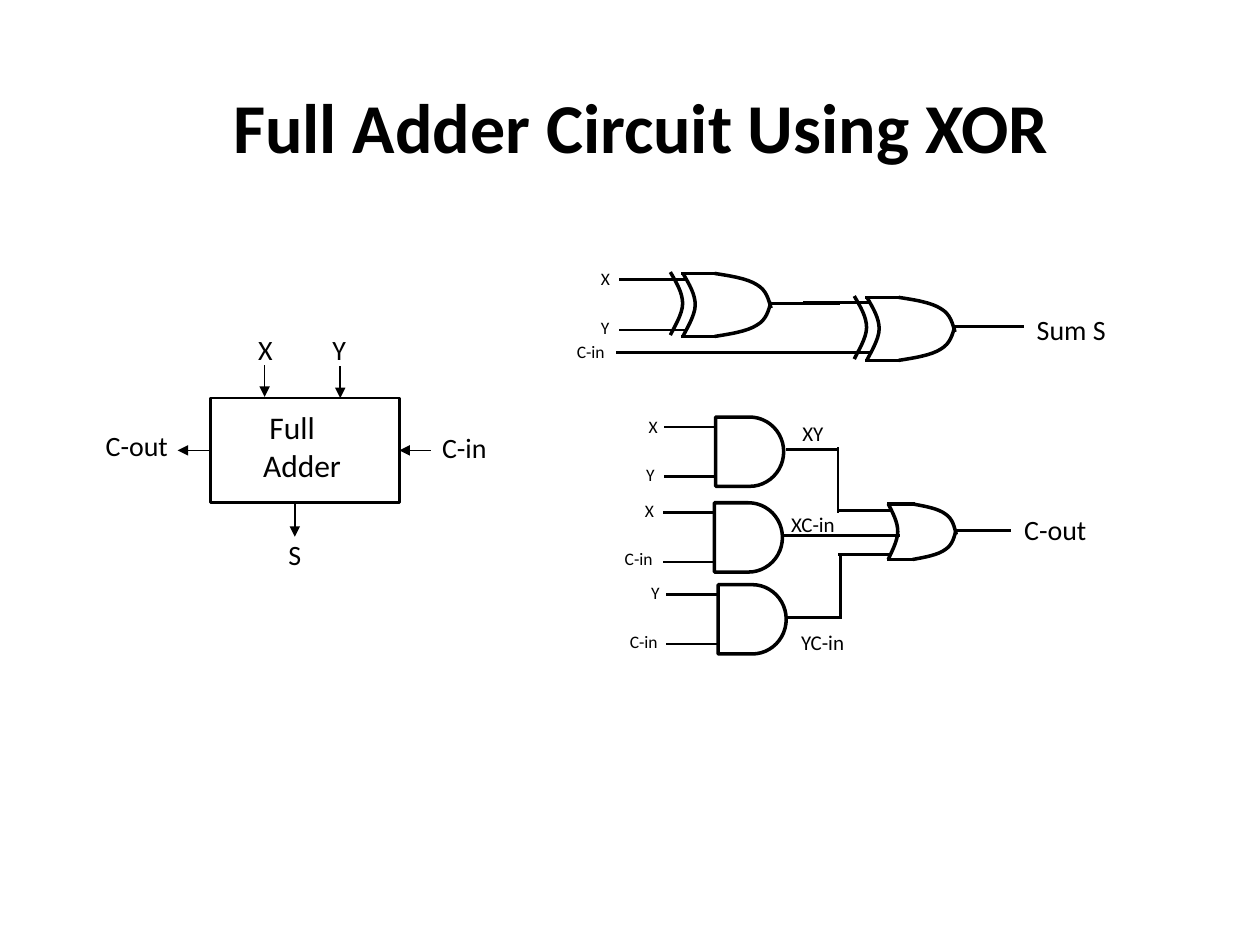
"""Build the slide showing a full adder as a block and as a gate circuit."""
import pptx
import pptx.dml.color
import pptx.enum.shapes
import pptx.enum.text
import pptx.oxml
import pptx.oxml.ns
import pptx.util

Inches, Pt = pptx.util.Inches, pptx.util.Pt
SHAPES = pptx.enum.shapes.MSO_SHAPE
ALIGN = pptx.enum.text.PP_ALIGN
ANCHOR = pptx.enum.text.MSO_ANCHOR

THEME = {
    "font": "Calibri", "ink": pptx.dml.color.RGBColor(0, 0, 0),
    "title": 40, "block": 18, "port": 16, "term": 12, "input": 10,
    "arrow": 1, "wire": 1.5, "gate": 2,
}

TITLE = "Full Adder Circuit Using XOR"
BLOCK = (1.67, 3.16, 1.5, 0.83)
BLOCK_LINES = [("Full", 0.11), ("Adder", 0.06)]
PORT_ARROWS = [
    ((2.1, 2.9), (2.1, 3.15)), ((2.7, 2.91), (2.7, 3.16)), ((2.34, 4.01), (2.34, 4.26)),
]
LABELS = [
    ("X", 1.95, 2.59, 0.31, "port"), ("Y", 2.54, 2.59, 0.31, "port"),
    ("S", 2.19, 4.22, 0.3, "port"), ("C-in", 3.41, 3.37, 0.55, "port"),
    ("C-out", 0.74, 3.35, 0.69, "port"), ("C-out", 8.03, 4.02, 0.69, "port"),
    ("Sum S", 8.13, 2.43, 1.2, "port"),
    ("XY", 6.27, 3.29, 0.37, "term"), ("XC-in", 6.18, 4.01, 0.55, "term"),
    ("YC-in", 6.26, 4.95, 0.54, "term"),
    ("X", 4.67, 2.08, 0.27, "input"), ("Y", 4.67, 2.47, 0.26, "input"),
    ("C-in", 4.48, 2.66, 0.42, "input"),
    ("X", 5.05, 3.25, 0.27, "input"), ("Y", 5.03, 3.63, 0.26, "input"),
    ("X", 5.02, 3.92, 0.27, "input"), ("C-in", 4.86, 4.3, 0.42, "input"),
    ("Y", 5.07, 4.57, 0.26, "input"), ("C-in", 4.9, 4.96, 0.42, "input"),
]
LABEL_HEIGHT = {"port": 0.37, "term": 0.3, "input": 0.27}
AND_GATES = [(5.68, 3.31), (5.67, 3.99), (5.7, 4.64)]
XOR_GATES = [(5.42, 2.17, (2.22, 2.62), 2.41), (6.88, 2.36, (2.4, 2.8), 2.59)]
OR_GATE = (7.05, 4.0)
WIRES = [
    ((4.9, 2.8), (6.65, 2.8)),
    ((6.25, 3.57), (6.65, 3.57)), ((6.65, 3.56), (6.65, 4.06)),
    ((6.23, 4.25), (6.64, 4.25)), ((6.38, 4.25), (7.13, 4.25)),
    ((6.26, 4.9), (6.67, 4.9)), ((6.67, 4.4), (6.67, 4.9)),
]
BACK_CURVE = [(0, 0), (0.07, 0.17), (0.14, 0.33), (0.14, 0.5), (0.14, 0.67), (0.03, 0.91), (0, 1)]
NOSE_CURVE = [(0.36, 0), (0.54, 0.04), (0.73, 0.08), (0.84, 0.18), (0.95, 0.27), (0.97, 0.41), (1, 0.55)]


def add_text(slide, lines, box, size, align=ALIGN.LEFT, wrap=False, bold=False):
    tf = slide.shapes.add_textbox(*map(Inches, box)).text_frame
    tf.word_wrap = wrap
    for i, (text, indent) in enumerate(lines):
        p = tf.paragraphs[0] if i == 0 else tf.add_paragraph()
        p.text, p.alignment = text, align
        if indent:
            p._p.get_or_add_pPr().set("marL", str(Inches(indent)))
        p.font.name, p.font.size, p.font.bold = THEME["font"], Pt(THEME[size]), bold
        p.font.color.rgb = THEME["ink"]
    return tf


def set_line(s, weight):
    s.line.color.rgb = THEME["ink"]
    s.line.width = Pt(THEME[weight])


def add_line(slide, start, end, weight="wire"):
    s = slide.shapes.add_connector(
        pptx.enum.shapes.MSO_CONNECTOR.STRAIGHT, *map(Inches, (*start, *end)))
    set_line(s, weight)
    ln = s.line._get_or_add_ln()
    ln.set("cap", "sq")
    if weight == "arrow":
        ln.append(pptx.oxml.parse_xml(
            f'<a:tailEnd {pptx.oxml.ns.nsdecls("a")} type="triangle"/>'))
    s._element.spPr.append(
        pptx.oxml.parse_xml(f'<a:effectLst {pptx.oxml.ns.nsdecls("a")}/>'))
    return s


def style_outline(s, weight):
    s.shadow.inherit = False
    s.fill.background()
    set_line(s, weight)


def add_preset(slide, kind, box, weight):
    s = slide.shapes.add_shape(kind, *map(Inches, box))
    style_outline(s, weight)
    return s


def add_curve(slide, unit_points, x, y, width, height):
    points = [(Inches(x + u * width), Inches(y + v * height)) for u, v in unit_points]
    builder = slide.shapes.build_freeform(*points[0])
    builder.add_line_segments(points[1:], close=False)
    s = builder.convert_to_shape()
    segments = s._element.xpath(".//a:lnTo")
    for k in range(0, len(segments), 3):
        cubic = pptx.oxml.parse_xml(f'<a:cubicBezTo {pptx.oxml.ns.nsdecls("a")}/>')
        segments[k].addprevious(cubic)
        for segment in segments[k:k + 3]:
            cubic.append(segment[0])
            segment.getparent().remove(segment)
    style_outline(s, "gate")


def add_or_body(slide, x, y, width, height):
    add_curve(slide, BACK_CURVE, x, y, width, height)
    for edge in (y, y + height):
        add_line(slide, (x, edge), (x + 0.36 * width, edge), "gate")
    add_curve(slide, NOSE_CURVE, x, y, width, height)
    add_curve(slide, [(u, 1 - v) for u, v in NOSE_CURVE], x, y, width, height)


def add_leads(slide, left, right, levels):
    for level in levels:
        add_line(slide, (left, level), (right, level))


def add_xor_gate(slide, x, y, inputs, output):
    add_leads(slide, x - 0.5, x + 0.02, inputs)
    add_leads(slide, x + 0.71, x + 1.24, (output,))
    add_or_body(slide, x, y, 0.7, 0.5)
    add_curve(slide, BACK_CURVE, x - 0.1, y - 0.01, 0.7, 0.5)


def add_or_gate(slide, x, y):
    add_leads(slide, x - 0.39, x + 0.02, (y + 0.05, y + 0.4))
    add_leads(slide, x + 0.55, x + 0.96, (y + 0.21,))
    add_or_body(slide, x, y, 0.54, 0.44)


def add_and_gate(slide, x, y):
    add_preset(slide, SHAPES.FLOWCHART_DELAY, (x, y, 0.54, 0.55), "gate")
    add_leads(slide, x - 0.4, x, (y + 0.08, y + 0.47))


def add_block(slide):
    block = add_preset(slide, SHAPES.RECTANGLE, BLOCK, "wire")
    add_text(slide, BLOCK_LINES, (1.93, 3.19, 1.0, 0.7), "block", wrap=True)
    x, y, width, height = BLOCK
    middle = y + height / 2
    carry_out = add_line(slide, (x, middle), (1.41, middle), "arrow")
    carry_out.begin_connect(block, 1)
    carry_in = add_line(slide, (3.41, middle), (x + width, middle), "arrow")
    carry_in.end_connect(block, 3)
    for start, end in PORT_ARROWS:
        add_line(slide, start, end, "arrow")


def main():
    prs = pptx.Presentation()
    prs.slide_width, prs.slide_height = Inches(10), Inches(7.5)
    slide = prs.slides.add_slide(prs.slide_layouts[6])
    tf = add_text(slide, [(TITLE, 0)], (0.75, 0.75, 8.67, 0.5), "title",
                  ALIGN.CENTER, wrap=True, bold=True)
    tf.vertical_anchor = ANCHOR.MIDDLE
    add_block(slide)
    for gate in AND_GATES:
        add_and_gate(slide, *gate)
    for gate in XOR_GATES:
        add_xor_gate(slide, *gate)
    add_or_gate(slide, *OR_GATE)
    for wire in WIRES:
        add_line(slide, *wire)
    for text, x, y, width, size in LABELS:
        add_text(slide, [(text, 0)], (x, y, width, LABEL_HEIGHT[size]), size)
    prs.save("out.pptx")


if __name__ == "__main__":
    main()
